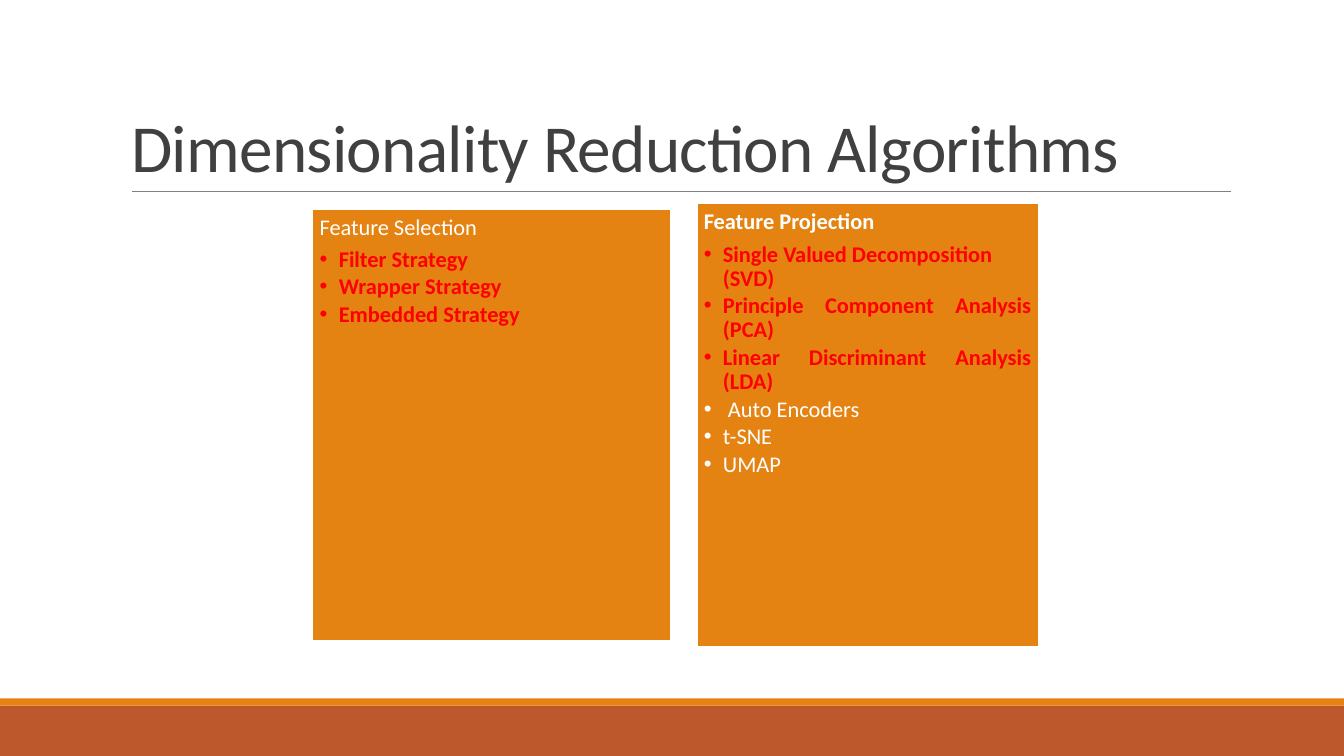
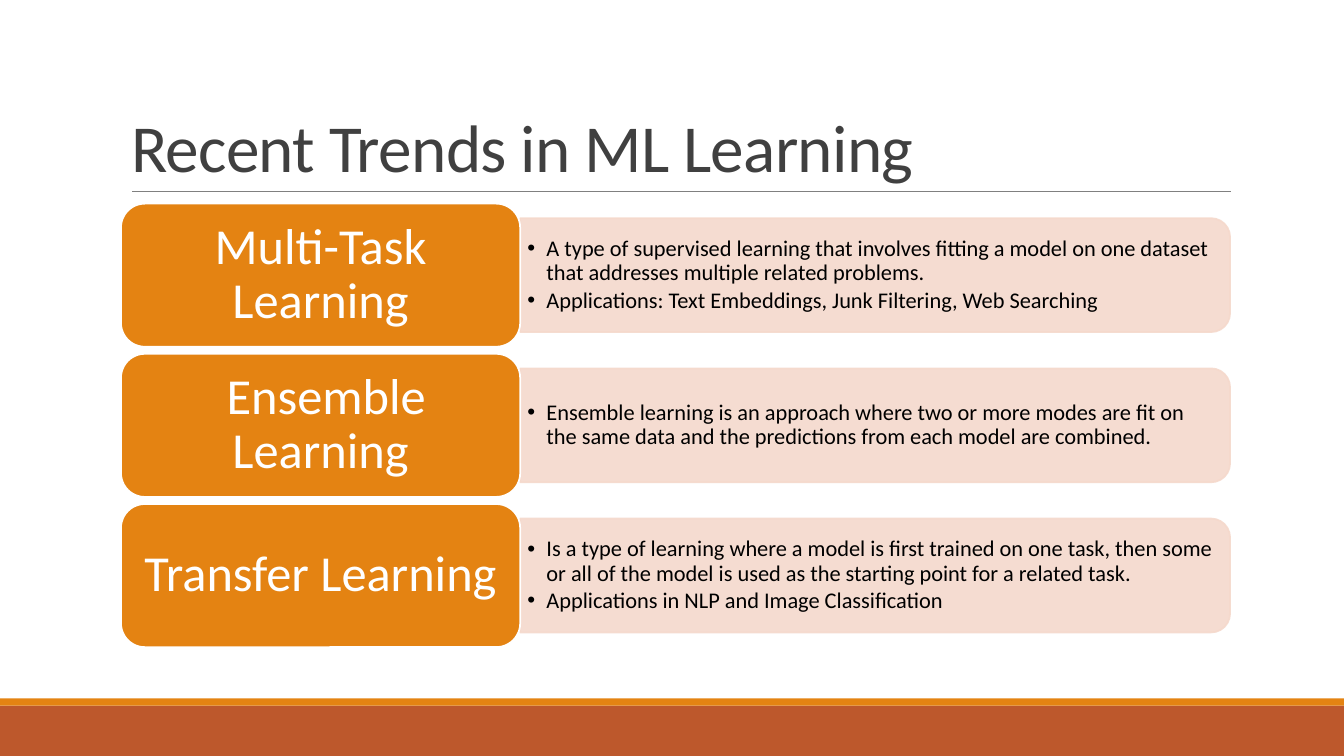
from dataclasses import dataclass

from lxml import etree
from pptx import Presentation
from pptx.dml.color import RGBColor
from pptx.enum.shapes import MSO_CONNECTOR, MSO_SHAPE
from pptx.enum.text import MSO_ANCHOR, MSO_AUTO_SIZE, PP_ALIGN
from pptx.oxml.ns import qn
from pptx.util import Inches, Pt

RECT, ROUND = MSO_SHAPE.RECTANGLE, MSO_SHAPE.ROUNDED_RECTANGLE
TAB = MSO_SHAPE.ROUND_2_SAME_RECTANGLE
LINE = MSO_CONNECTOR.STRAIGHT
LEFT, MID, JUST = PP_ALIGN.LEFT, PP_ALIGN.CENTER, PP_ALIGN.JUSTIFY
TOP, CENTER, BASE = MSO_ANCHOR.TOP, MSO_ANCHOR.MIDDLE, MSO_ANCHOR.BOTTOM
FIXED = MSO_AUTO_SIZE.NONE


@dataclass(frozen=True)
class Theme:
    font: str = "Calibri"
    title: str = "404040"
    rule: str = "808080"
    main: str = "E48312"
    foot: str = "BD582C"
    pale: str = "F5D9CC"
    hot: str = "FF0000"
    white: str = "FFFFFF"
    black: str = "000000"
    big: int = 48
    label: int = 36
    body: int = 16
    edge: float = 1.25
    hang: float = 0.19


T = Theme()
WIDE, HIGH = 13.33, 7.5

PANELS = [
    {"box": (3.1, 2.07, 3.55, 4.29), "head": "Feature Selection", "bold": False,
     "items": [
         ("Filter Strategy", True, LEFT),
         ("Wrapper Strategy", True, LEFT),
         ("Embedded Strategy", True, LEFT),
     ]},
    {"box": (6.91, 2.02, 3.39, 4.4), "head": "Feature Projection", "bold": True,
     "items": [
         ("Single Valued Decomposition (SVD)", True, LEFT),
         ("Principle Component Analysis (PCA)", True, JUST),
         ("Linear Discriminant Analysis (LDA)", True, JUST),
         (" Auto Encoders", False, JUST),
         ("t-SNE", False, JUST),
         ("UMAP", False, JUST),
     ]},
]

TRENDS = [
    ("Multi-Task Learning", [
        "A type of supervised learning that involves fitting a model on one "
        "dataset that addresses multiple related problems.",
        "Applications: Text Embeddings, Junk Filtering, Web Searching",
    ]),
    (" Ensemble Learning", [
        "Ensemble learning is an approach where two or more modes are fit on "
        "the same data and the predictions from each model are combined.",
    ]),
    ("Transfer Learning", [
        "Is a type of learning where a model is first trained on one task, then "
        "some or all of the model is used as the starting point for a related task.",
        "Applications in NLP and Image Classification",
    ]),
]


def inches(*nums):
    return [Inches(n) for n in nums]


def rgb(code):
    return RGBColor.from_string(code)


def add_box(slide, kind, box, fill, edge=None):
    shape = slide.shapes.add_shape(kind, *inches(*box))
    shape.shadow.inherit = False
    shape.fill.solid()
    shape.fill.fore_color.rgb = rgb(fill)
    if edge:
        shape.line.color.rgb = rgb(edge)
        shape.line.width = Pt(T.edge)
    else:
        shape.line.fill.background()
    return shape


def set_frame(shape, anchor, side, end):
    frame = shape.text_frame
    frame.word_wrap = True
    frame.auto_size = FIXED
    frame.vertical_anchor = anchor
    frame.margin_left = frame.margin_right = Inches(side)
    frame.margin_top = frame.margin_bottom = Inches(end)
    return frame


def add_para(frame, text, size, color, align=LEFT, bold=False, bullet=False,
             lead=0.9):
    first = frame.paragraphs[0]
    para = first if not first.runs else frame.add_paragraph()
    para.add_run().text = text
    para.alignment = align
    para.line_spacing = lead
    para.space_before = Pt(0)
    para.space_after = Pt(size * (0.15 if bullet else 0.35))
    if bullet:
        props = para._p.get_or_add_pPr()
        props.set("marL", str(Inches(T.hang)))
        props.set("indent", str(-Inches(T.hang)))
        etree.SubElement(props, qn("a:buFont")).set("typeface", "Arial")
        etree.SubElement(props, qn("a:buChar")).set("char", "•")
    font = para.font
    font.name, font.size, font.bold = T.font, Pt(size), bold
    font.color.rgb = rgb(color)
    return para


def set_layout(slide):
    layout = slide.slide_layout
    title = layout.placeholders[0]
    title.left, title.top, title.width, title.height = inches(1.2, 0.31, 11, 1.59)
    foot = add_box(slide, RECT, (0, 7, WIDE, 0.5), T.foot)
    band = add_box(slide, RECT, (0, 6.93, WIDE, 0.07), T.main)
    rule = slide.shapes.add_connector(LINE, *inches(1.31, 1.9, 12.21, 1.9))
    rule.line.color.rgb = rgb(T.rule)
    rule.line.width = Pt(0.5)
    etree.SubElement(rule.element.spPr, qn("a:effectLst"))
    for part in (rule, band, foot):
        layout.shapes.element.insert(2, part.element)


def add_title(slide, text):
    frame = set_frame(slide.shapes.title, BASE, 0.1, 0.05)
    para = add_para(frame, text, T.big, T.title, lead=0.85)
    para.space_after = Pt(0)
    para.runs[0]._r.get_or_add_rPr().set("spc", "-50")


def add_panel(slide, panel):
    shape = add_box(slide, RECT, panel["box"], T.main, T.white)
    frame = set_frame(shape, TOP, 0.07, 0.07)
    add_para(frame, panel["head"], T.body, T.white, bold=panel["bold"])
    for text, hot, align in panel["items"]:
        add_para(frame, text, T.body, T.hot if hot else T.white, align,
                 bold=hot, bullet=True)


def add_trend(slide, row, label, notes):
    left, top, wide, high = 1.2, 2.02 + 1.49 * row, 3.96, 1.42
    side, mid = left + wide, top + high / 2
    thick, reach = 1.13, 7.04
    tab = add_box(slide, TAB, (side + (reach - thick) / 2, mid - reach / 2,
                               thick, reach), T.pale, T.pale)
    tab.rotation = 90
    for color in tab.element.spPr.iter(qn("a:srgbClr")):
        etree.SubElement(color, qn("a:alpha")).set("val", "90000")

    text = slide.shapes.add_textbox(*inches(side, mid - 0.51, 6.98, 1.02))
    frame = set_frame(text, CENTER, 0.07, 0.03)
    for note in notes:
        add_para(frame, note, T.body, T.black, bullet=True)

    head = add_box(slide, ROUND, (left, top, wide, high), T.main, T.white)
    frame = set_frame(head, CENTER, 0.15, 0.07)
    add_para(frame, label, T.label, T.white, MID)


def main():
    deck = Presentation()
    deck.slide_width, deck.slide_height = inches(WIDE, HIGH)
    layout = deck.slide_layouts[5]

    slide = deck.slides.add_slide(layout)
    set_layout(slide)
    add_title(slide, "Dimensionality Reduction Algorithms")
    for panel in PANELS:
        add_panel(slide, panel)

    slide = deck.slides.add_slide(layout)
    add_title(slide, "Recent Trends in ML Learning")
    for row, (label, notes) in enumerate(TRENDS):
        add_trend(slide, row, label, notes)

    deck.save("out.pptx")


if __name__ == "__main__":
    main()
